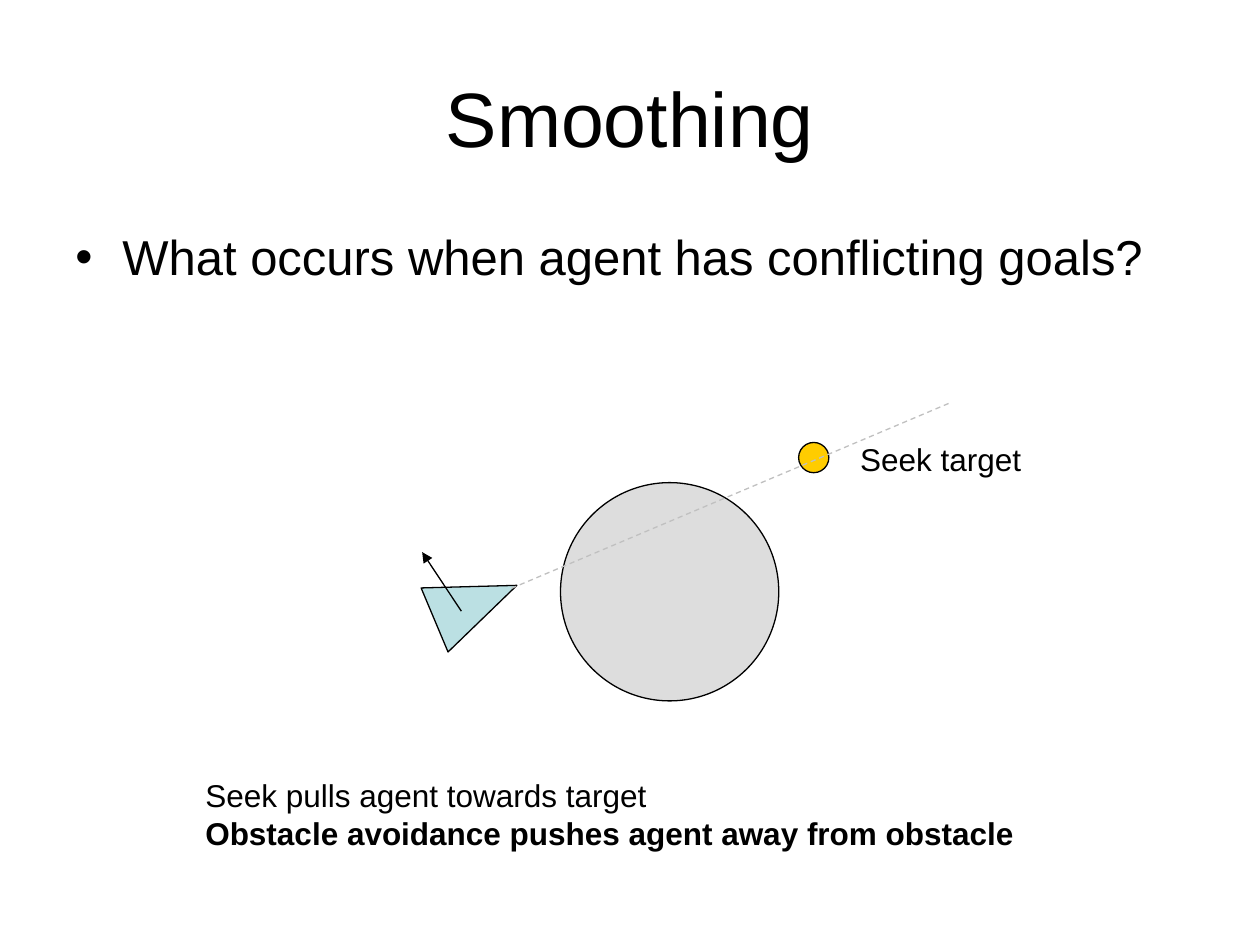
from pptx import Presentation
from pptx.dml.color import RGBColor
from pptx.enum.dml import MSO_LINE
from pptx.enum.shapes import MSO_CONNECTOR, MSO_SHAPE
from pptx.enum.text import MSO_ANCHOR, PP_ALIGN
from pptx.oxml.ns import qn
from pptx.util import Cm, Pt
from lxml.etree import SubElement

FONT = "Arial"
BLACK = "000000"
TITLE_ONLY = 5


def colour(hex_code):
    return RGBColor.from_string(hex_code)


def add_span(para, text, size, bold=False):
    span = para.add_run()
    span.text = text
    font = span.font
    font.name, font.size, font.bold = FONT, Pt(size), bold
    font.color.rgb = colour(BLACK)


def format_title(slide, text):
    title = slide.shapes.title
    title.left, title.top, title.width, title.height = Cm(1.27), Cm(0.76), Cm(22.86), Cm(3.18)
    title.text_frame.vertical_anchor = MSO_ANCHOR.MIDDLE
    para = title.text_frame.paragraphs[0]
    para.alignment = PP_ALIGN.CENTER
    add_span(para, text, 44)


def add_text(slide, left, top, width, height, lines, size=18):
    """Place one paragraph; lines are (text, bold) pairs."""
    box = slide.shapes.add_textbox(Cm(left), Cm(top), Cm(width), Cm(height))
    box.text_frame.word_wrap = True
    para = box.text_frame.paragraphs[0]
    for number, (text, bold) in enumerate(lines):
        if number:
            para.add_line_break()
        add_span(para, text, size, bold)
    return para


def add_bullet(para, indent):
    para.space_before = Pt(3)
    properties = para._p.get_or_add_pPr()
    properties.set("marL", str(Cm(indent)))
    properties.set("indent", str(-Cm(indent)))
    SubElement(properties, qn("a:buFont"), typeface=FONT)
    SubElement(properties, qn("a:buChar"), char="•")


def add_figure(slide, kind, left, top, width, height, fill, rotation=0):
    figure = slide.shapes.add_shape(kind, Cm(left), Cm(top), Cm(width), Cm(height))
    figure.shadow.inherit = False
    figure.rotation = rotation
    figure.fill.solid()
    figure.fill.fore_color.rgb = colour(fill)
    figure.line.color.rgb = colour(BLACK)
    figure.line.width = Pt(0.75)


def add_line(slide, start, end, line_colour, dashed=False, arrow=False):
    points = [Cm(value) for value in (*start, *end)]
    connector = slide.shapes.add_connector(MSO_CONNECTOR.STRAIGHT, *points)
    connector.line.color.rgb = colour(line_colour)
    connector.line.width = Pt(0.75)
    if dashed:
        connector.line.dash_style = MSO_LINE.DASH
    if arrow:
        SubElement(connector.line._get_or_add_ln(), qn("a:tailEnd"), type="triangle")
    SubElement(connector._element.spPr, qn("a:effectLst"))


def main():
    deck = Presentation()
    deck.slide_width, deck.slide_height = Cm(25.4), Cm(19.05)
    slide = deck.slides.add_slide(deck.slide_layouts[TITLE_ONLY])

    # Title and question
    format_title(slide, "Smoothing")
    question = [("What occurs when agent has conflicting goals?", False)]
    add_bullet(add_text(slide, 1.27, 4.45, 22.86, 12.57, question, 28), 0.95)

    # Target and obstacle
    add_figure(slide, MSO_SHAPE.OVAL, 16.1, 8.92, 0.61, 0.61, "FFCC00")
    add_figure(slide, MSO_SHAPE.OVAL, 11.3, 9.73, 4.4, 4.4, "DDDDDD")
    add_text(slide, 17.09, 8.74, 3.99, 1.02, [("Seek target", False)])

    # Agent with its line of sight
    add_figure(slide, MSO_SHAPE.ISOSCELES_TRIANGLE, 8.89, 11.25, 1.4, 1.8, "BBE0E3", 67.2)
    add_line(slide, (10.31, 11.86), (19.13, 8.13), "C0C0C0", dashed=True)

    # Explanation and avoidance force
    add_text(slide, 3.89, 15.52, 18.39, 1.78, [
        ("Seek pulls agent towards target", False),
        ("Obstacle avoidance pushes agent away from obstacle", True),
    ])
    add_line(slide, (9.3, 12.32), (8.51, 11.13), BLACK, arrow=True)

    deck.save("out.pptx")


if __name__ == "__main__":
    main()
